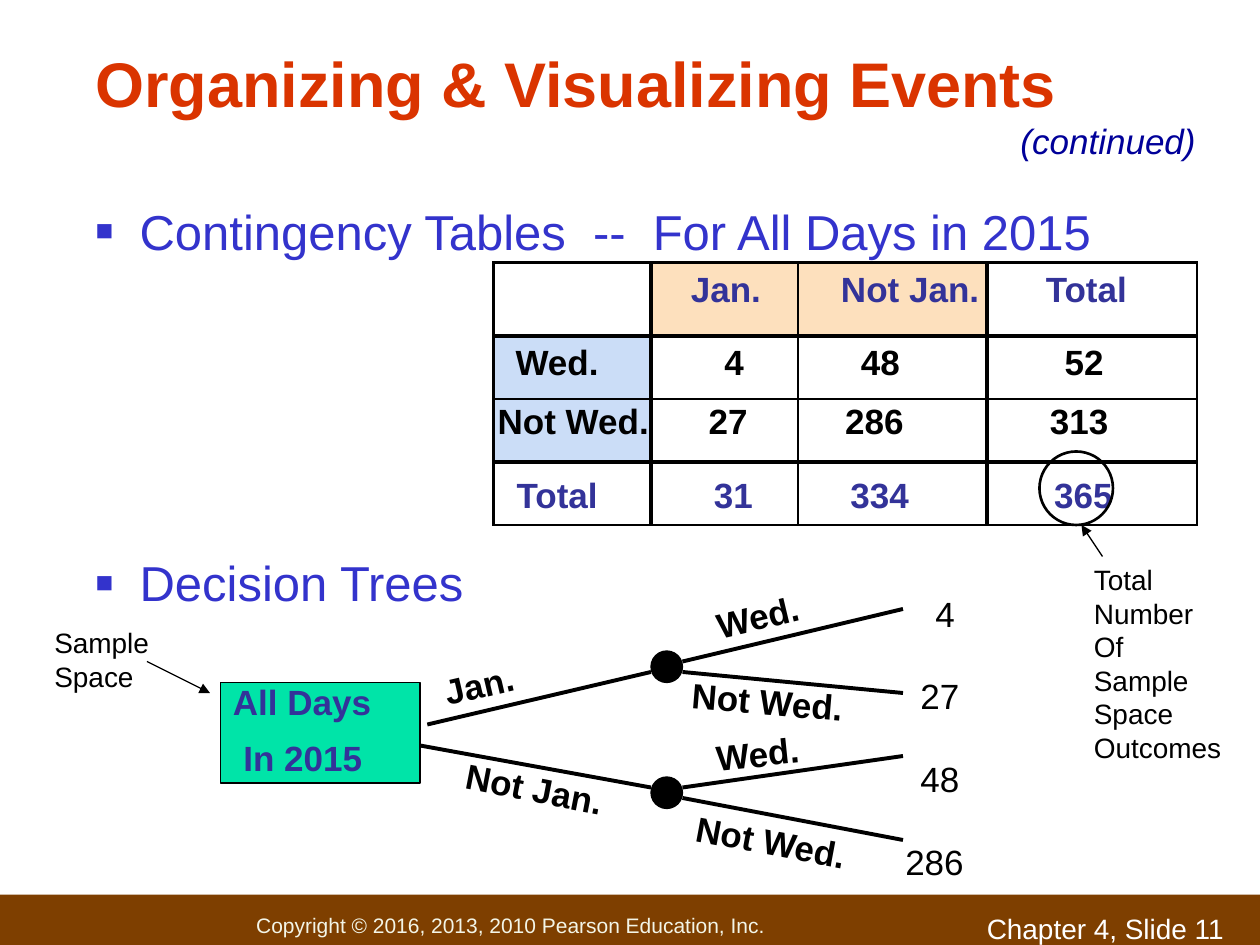
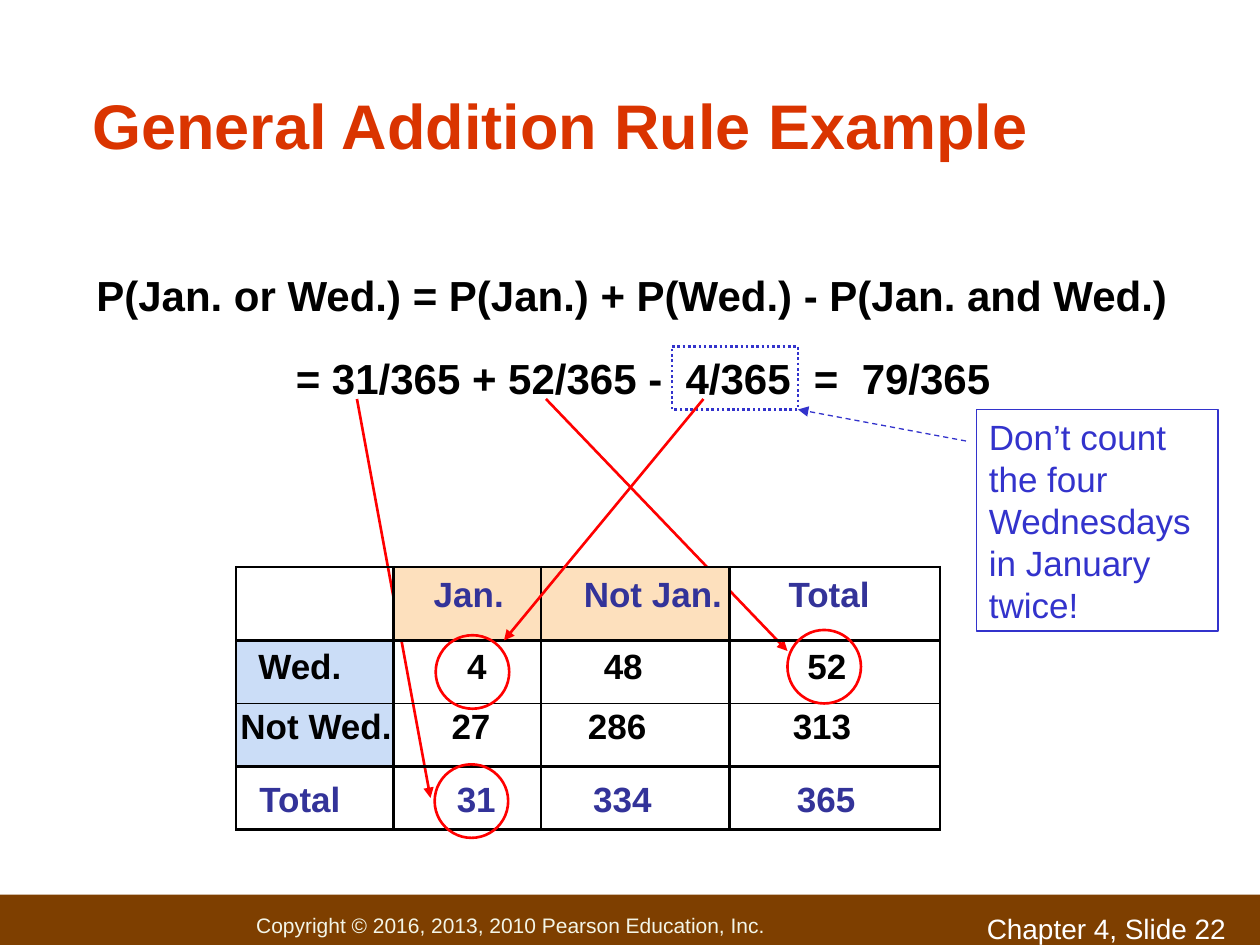
import pptx
import pptx.util
import pptx.dml.color
import pptx.enum.dml
import pptx.enum.shapes
import pptx.enum.text
import pptx.oxml.ns
from lxml import etree

COLORS = {"title": "DA3400", "body": "3333CC", "continued": "000099", "label": "333399",
          "black": "000000", "white": "FFFFFF", "red": "FF0000", "band": "7E3F00",
          "copyright": "F3F5E7", "green": "00E4A8", "peach": "FDE0BD", "sky": "CBDDF7"}
FONT = "Arial"
Pt, RGB, qn = pptx.util.Pt, pptx.dml.color.RGBColor.from_string, pptx.oxml.ns.qn
SHAPE, DASH = pptx.enum.shapes.MSO_SHAPE, pptx.enum.dml.MSO_LINE
ANCHOR, ALIGN = pptx.enum.text.MSO_ANCHOR, pptx.enum.text.PP_ALIGN

prs = pptx.Presentation()
prs.slide_width, prs.slide_height = pptx.util.Inches(10), pptx.util.Inches(7.5)
U = prs.slide_width // 120  # grid of 120 columns by 90 rows


def box(s, at, text="", size=20, color="black", bold=False, shape=None, fill=None, line=None,
        width=1.5, spacing=None, before=0, anchor=ANCHOR.TOP, inset=1.2):
    """Text box or preset shape, placed in grid units."""
    at = [int(v * U) for v in at]
    if shape is None:
        sp = s.shapes.add_textbox(*at)
    else:
        sp = s.shapes.add_shape(shape, *at)
        sp.shadow.inherit = False
        if fill:
            sp.fill.solid()
            sp.fill.fore_color.rgb = RGB(COLORS[fill])
        else:
            sp.fill.background()
        if line:
            sp.line.color.rgb = RGB(COLORS[line])
            sp.line.width = Pt(width)
        else:
            sp.line.fill.background()
    if text:
        tf = sp.text_frame
        tf.word_wrap = True
        tf.vertical_anchor = anchor
        tf.margin_left = tf.margin_right = int(inset * U)
        tf.margin_top = tf.margin_bottom = int(0.6 * U)
        tf.text = text
        for i, p in enumerate(tf.paragraphs):
            p.alignment = ALIGN.LEFT
            p.space_before = Pt(before if i else 0)
            if spacing:
                p.line_spacing = spacing
            for r in p.runs:
                r.font.name, r.font.size, r.font.bold = FONT, Pt(size), bold
                r.font.color.rgb = RGB(COLORS[color])
    return sp


def connect(s, x1, y1, x2, y2, color="black", width=2.25, arrow=False, dash=None):
    """Straight line between two grid points."""
    c = s.shapes.add_connector(pptx.enum.shapes.MSO_CONNECTOR.STRAIGHT,
                               *[int(v * U) for v in (x1, y1, x2, y2)])
    c.line.color.rgb = RGB(COLORS[color])
    c.line.width = Pt(width)
    if dash:
        c.line.dash_style = dash
    spPr = c._element.spPr
    if arrow:
        etree.SubElement(spPr.find(qn("a:ln")), qn("a:tailEnd"), type="triangle")
    etree.SubElement(spPr, qn("a:effectLst"))


# Shared footer and title
slides = []
for number, title, at, spacing in [
        (11, "Organizing & Visualizing Events", (8, 3, 99, 9), 1.1),
        (22, "General Addition Rule Example", (7.7, 6, 102.2, 10), None)]:
    s = prs.slides.add_slide(prs.slide_layouts[6])
    band = box(s, (0, 85.2, 120, 5.9), "Copyright © 2016, 2013, 2010 Pearson Education, Inc.", 12,
               "copyright", shape=SHAPE.RECTANGLE, fill="band", anchor=ANCHOR.MIDDLE, inset=0)
    band.text_frame.margin_left = int(24.4 * U)
    box(s, (92.8, 86.2, 28, 3.1), f"Chapter 4, Slide {number}", 16, "white")
    box(s, at, title, 36, "title", True, spacing=spacing, anchor=ANCHOR.BOTTOM, inset=1.1)
    slides.append(s)
events, addition = slides

# Events: bullets
sp = box(events, (8, 18, 106, 59.5),
         "Contingency Tables  --  For All Days in 2015\nDecision Trees",
         28, "body", spacing=1.1, before=164, inset=1.1)
for p in sp.text_frame.paragraphs:
    pPr = p._p.get_or_add_pPr()
    pPr.set("marL", str(int(4.2 * U)))
    pPr.set("indent", str(-int(4.2 * U)))
    clr = etree.SubElement(pPr, qn("a:buClr"))
    etree.SubElement(clr, qn("a:srgbClr"), val=COLORS["body"])
    etree.SubElement(pPr, qn("a:buSzPct"), val="60000")
    etree.SubElement(pPr, qn("a:buFont"), typeface=FONT)
    etree.SubElement(pPr, qn("a:buChar"), char="■")
sp = box(events, (96, 10.8, 21, 5.3), "(continued)", 20, "continued")
sp.text_frame.paragraphs[0].runs[0].font.italic = True

# Events: decision tree
sp = box(events, (21, 65, 19, 9.6), "All Days\nIn 2015", 20, "label", True, SHAPE.RECTANGLE,
         "green", "black", 1, spacing=0.8, before=12.5)
sp.text_frame.paragraphs[1]._p.get_or_add_pPr().set("marL", str(U))
for branch in [(40.7, 69, 62, 64), (40, 71, 62, 75), (65, 63, 86, 58),
               (65, 64, 86, 66), (65, 75, 86, 72), (65, 76, 86, 80)]:
    connect(events, *branch)
for y in (62, 74):
    box(events, (62, y, 3, 3), shape=SHAPE.OVAL, fill="black", line="black", width=0.75)
for text, at, angle, spacing in [
        ("Not Jan.", (43, 73.9, 19, 4), 11.1, 0.7),
        ("Jan.", (41, 62, 21, 4.3), -13.1, 0.8),
        ("Not Wed.", (65, 78, 22, 5.2), 10.6, None),
        ("Wed.", (67, 56, 11, 5.2), -13.5, None),
        ("Wed.", (67, 69, 13, 5.2), -5.9, None),
        ("Not Wed.", (64.7, 64.2, 17, 5.2), 4.8, None)]:
    box(events, at, text, bold=True, spacing=spacing).rotation = angle
sp = box(events, (84.4, 54, 9.2, 30), "4\n27\n48\n286", spacing=1.45, before=12.5, inset=0.6)
for p, indent in zip(sp.text_frame.paragraphs, (2, 1, 1, 0)):
    p.alignment = ALIGN.CENTER
    p._p.get_or_add_pPr().set("marL", str(indent * U))

# Events: side notes
box(events, (4, 59, 12, 7.6), "Sample Space", 16)
connect(events, 14, 63, 20, 66, width=0.75, arrow=True)
box(events, (103, 53, 15, 20.4), "Total\nNumber\nOf\nSample\nSpace\nOutcomes", 16)
connect(events, 105, 53, 103, 50, width=0.75, arrow=True)

# Addition rule: formula, note and the arrows behind the table
connect(addition, 34, 38, 41, 76, "red", 1.5, True)
connect(addition, 52, 38, 75, 62, "red", 1.5, True)
box(addition, (8, 25.1, 108, 6), "P(Jan. or Wed.) = P(Jan.) + P(Wed.) - P(Jan. and Wed.)",
    24, bold=True)
box(addition, (27, 33, 71, 6), "= 31/365 + 52/365 -  4/365  =  79/365", 24, bold=True)
box(addition, (93, 39, 23, 21.1), "Don’t count the four Wednesdays in January twice!", 20, "body",
    shape=SHAPE.RECTANGLE, line="body", width=1)
sp = box(addition, (64, 33, 12, 6), shape=SHAPE.RECTANGLE, line="body")
sp.line.dash_style = DASH.ROUND_DOT
connect(addition, 92, 42, 76, 39, "body", 0.75, True, DASH.DASH)

# Contingency table on both slides: cell text, left insets, top inset
ROWS = [(["", "Jan.", "Not Jan.", "Total"], (0, 3.8, 4.1, 5.6), 0.8),
        (["Wed.", "4", "48", "52"], (2.1, 7, 6, 7.4), 0.7),
        (["Not Wed.", "27", "286", "313"], (0.4, 5.5, 4.5, 6), 0.4),
        (["Total", "31", "334", "365"], (2.2, 6, 5, 6.4), 1.4)]
WIDTHS, HEIGHTS = (15, 14, 18, 20), (7, 6, 6, 6)
V_RULES = (1.5, 2.25, 1.5, 2.25, 1.5)
H_RULES = (1.5, 2, 0.75, 2, 1.5)
for s, x, y in [(events, 47, 25), (addition, 22.5, 54)]:
    tbl = s.shapes.add_table(4, 4, int(x * U), y * U, sum(WIDTHS) * U, sum(HEIGHTS) * U).table
    tbl.first_row = tbl.horz_banding = False
    for i in range(4):
        tbl.columns[i].width = WIDTHS[i] * U
        tbl.rows[i].height = HEIGHTS[i] * U
    for i, (texts, insets, top) in enumerate(ROWS):
        for j, text in enumerate(texts):
            cell = tbl.cell(i, j)
            cell.margin_left, cell.margin_top = int(insets[j] * U), int(top * U)
            cell.margin_right = cell.margin_bottom = 0
            tcPr = cell._tc.get_or_add_tcPr()
            for side, width in [("L", V_RULES[j]), ("R", V_RULES[j + 1]),
                                ("T", H_RULES[i]), ("B", H_RULES[i + 1])]:
                ln = etree.SubElement(tcPr, qn("a:ln" + side), w=str(int(Pt(width))))
                fill = etree.SubElement(ln, qn("a:solidFill"))
                etree.SubElement(fill, qn("a:srgbClr"), val=COLORS["black"])
            tint = "peach" if i == 0 and j in (1, 2) else "sky" if j == 0 and i in (1, 2) else None
            if tint:
                cell.fill.solid()
                cell.fill.fore_color.rgb = RGB(COLORS[tint])
            else:
                cell.fill.background()
            cell.text_frame.text = text
            for r in cell.text_frame.paragraphs[0].runs:
                r.font.name, r.font.size, r.font.bold = FONT, Pt(20), True
                r.font.color.rgb = RGB(COLORS["label" if i in (0, 3) else "black"])

# Circles and the arrow over the tables
for s, x, y, color in [(events, 99, 43, "black"), (addition, 41.5, 60.5, "red"),
                       (addition, 41.4, 72.8, "red"), (addition, 75, 60, "red")]:
    box(s, (x, y, 7, 7), shape=SHAPE.OVAL, line=color)
connect(addition, 67, 38, 48, 61, "red", 1.5, True)

prs.save("out.pptx")
